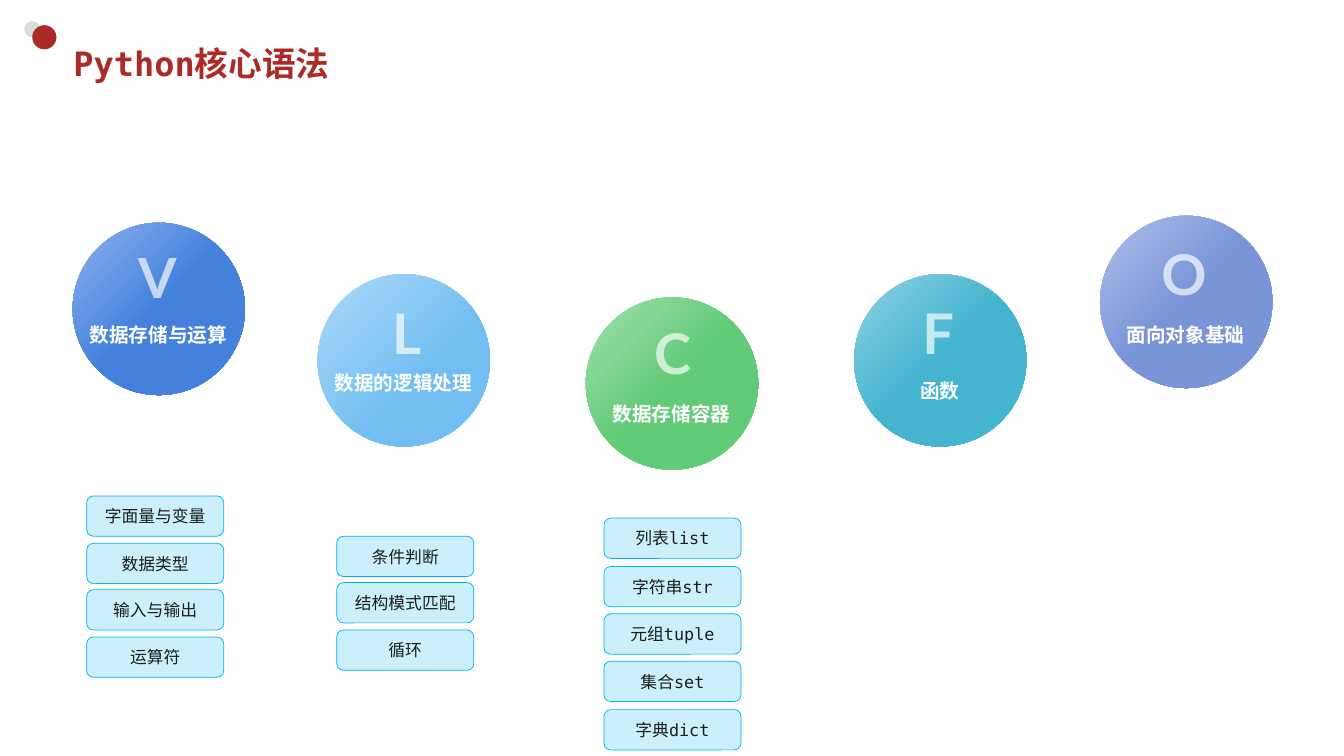
"""Build the overview slide of core Python syntax topics."""
from dataclasses import dataclass

from lxml import etree
from pptx import Presentation
from pptx.dml.color import RGBColor
from pptx.enum.shapes import MSO_SHAPE
from pptx.enum.text import MSO_ANCHOR, PP_ALIGN
from pptx.oxml.ns import qn
from pptx.shapes.autoshape import Shape
from pptx.util import Pt

OVAL = MSO_SHAPE.OVAL
ROUNDED = MSO_SHAPE.ROUNDED_RECTANGLE
TOP = MSO_ANCHOR.TOP
MIDDLE = MSO_ANCHOR.MIDDLE
LEFT = PP_ALIGN.LEFT
CENTER = PP_ALIGN.CENTER

PX = 9144
CIRCLE_SIZE = 171
LABEL_WIDTH, LABEL_HEIGHT = 160, 62
LETTER_WIDTH, LETTER_HEIGHT = 55, 77
ITEM_WIDTH, ITEM_HEIGHT = 136, 40

MONO, SANS, DISPLAY = "DejaVu Sans Mono", "Arial", "Lato"
WHITE = RGBColor(0xFF, 0xFF, 0xFF)
RED = RGBColor(0xAD, 0x2B, 0x26)
GREY = RGBColor(0xDA, 0xDD, 0xDC)
INK = RGBColor(0x1B, 0x1E, 0x1D)
CYAN = RGBColor(0x00, 0xB0, 0xF0)
BLUE, BLUE_LIGHT = RGBColor(0x43, 0x81, 0xDD), RGBColor(0x8E, 0xB3, 0xEB)
SKY, SKY_LIGHT = RGBColor(0x72, 0xBE, 0xF2), RGBColor(0xAE, 0xDA, 0xF8)
GREEN, GREEN_LIGHT = RGBColor(0x62, 0xCB, 0x78), RGBColor(0xA1, 0xE0, 0xAE)
TEAL, TEAL_LIGHT = RGBColor(0x44, 0xB4, 0xCF), RGBColor(0x8F, 0xD2, 0xE2)
VIOLET, VIOLET_LIGHT = RGBColor(0x79, 0x95, 0xD8), RGBColor(0xAF, 0xBF, 0xE8)


@dataclass(frozen=True)
class Dot:
    """A plain corner circle."""
    left: int
    top: int
    size: int
    color: RGBColor


@dataclass(frozen=True)
class Topic:
    """A gradient circle with its letter and label."""
    letter: str
    label: str
    left: int
    top: int
    letter_left: int
    letter_top: int
    label_top: int
    light: RGBColor
    color: RGBColor
    color_stop: float = 0.5


@dataclass(frozen=True)
class ItemColumn:
    """A column of evenly spaced items between two tops."""
    left: int
    first_top: int
    last_top: int
    items: tuple[str, ...]


DOTS = (Dot(24, 21, 16, GREY), Dot(32, 25, 24, RED))
TOPICS = (
    Topic("V", "数据存储与运算", 72, 221, 127, 236, 301, BLUE_LIGHT, BLUE),
    Topic("L", "数据的逻辑处理", 315, 272, 379, 291, 349, SKY_LIGHT, SKY, 0.6),
    Topic("C", "数据存储容器", 581, 295, 639, 311, 379, GREEN_LIGHT, GREEN),
    Topic("F", "函数", 847, 272, 905, 291, 357, TEAL_LIGHT, TEAL),
    Topic("O", "面向对象基础", 1091, 214, 1142, 233, 301, VIOLET_LIGHT, VIOLET),
)
COLUMNS = (
    ItemColumn(86, 492, 632, ("字面量与变量", "数据类型", "输入与输出", "运算符")),
    ItemColumn(334, 532, 625, ("条件判断", "结构模式匹配", "循环")),
    ItemColumn(599, 514, 704, ("列表list", "字符串str", "元组tuple", "集合set", "字典dict")),
)


def set_alpha(fill_element, percents: tuple[int, ...]) -> None:
    """Give each colour in a fill its opacity."""
    for color, percent in zip(fill_element.iter(qn("a:srgbClr")), percents):
        etree.SubElement(color, qn("a:alpha"), val=str(percent * 1000))


def set_gradient(fill, angle: int, stops: tuple[tuple[float, RGBColor], ...]) -> None:
    """Apply a two-stop linear gradient."""
    fill.gradient()
    fill.gradient_angle = angle
    for stop, (position, color) in zip(fill.gradient_stops, stops):
        stop.position = position
        stop.color.rgb = color


def add_shape(shapes, kind: MSO_SHAPE, left: int, top: int, width: int, height: int) -> Shape:
    """Add a preset shape without outline or shadow."""
    shape = shapes.add_shape(kind, left * PX, top * PX, width * PX, height * PX)
    shape.shadow.inherit = False
    shape.line.fill.background()
    return shape


def write(box: Shape, text: str, font: str, size: int, color: RGBColor,
          bold: bool = False, align: PP_ALIGN = CENTER, anchor: MSO_ANCHOR = MIDDLE):
    """Fill a box with one styled paragraph and return it."""
    frame = box.text_frame
    frame.word_wrap = True
    frame.vertical_anchor = anchor
    para = frame.paragraphs[0]
    para.text = text
    para.alignment = align
    para.font.name = font
    para.font.size = Pt(size)
    para.font.bold = bold
    para.font.color.rgb = color
    return para


def add_textbox(shapes, left: int, top: int, width: int, height: int) -> Shape:
    """Add an empty text box."""
    return shapes.add_textbox(left * PX, top * PX, width * PX, height * PX)


def draw_dot(page, dot: Dot) -> None:
    """Draw one corner circle."""
    shape = add_shape(page.shapes, OVAL, dot.left, dot.top, dot.size, dot.size)
    shape.fill.solid()
    shape.fill.fore_color.rgb = dot.color


def draw_topic(page, topic: Topic) -> None:
    """Draw a topic as one group."""
    shapes = page.shapes.add_group_shape().shapes
    circle = add_shape(shapes, OVAL, topic.left, topic.top, CIRCLE_SIZE, CIRCLE_SIZE)
    set_gradient(circle.fill, 315, ((0, topic.light), (topic.color_stop, topic.color)))
    label_left = topic.left + (CIRCLE_SIZE - LABEL_WIDTH) // 2
    label = add_textbox(shapes, label_left, topic.label_top, LABEL_WIDTH, LABEL_HEIGHT)
    write(label, topic.label, SANS, 14, WHITE, bold=True)
    letter = add_textbox(shapes, topic.letter_left, topic.letter_top, LETTER_WIDTH, LETTER_HEIGHT)
    para = write(letter, topic.letter, DISPLAY, 40, WHITE, True, LEFT, TOP)
    set_gradient(para.font.fill, 270, ((0.23, WHITE), (1, WHITE)))
    set_alpha(letter.text_frame._txBody, (67, 0))


def draw_column(page, column: ItemColumn) -> None:
    """Draw the items of one column."""
    pitch = (column.last_top - column.first_top) / (len(column.items) - 1)
    for index, item in enumerate(column.items):
        top = round(column.first_top + index * pitch)
        box = add_shape(page.shapes, ROUNDED, column.left, top, ITEM_WIDTH, ITEM_HEIGHT)
        box.fill.solid()
        box.fill.fore_color.rgb = CYAN
        set_alpha(box._element.spPr, (20,))
        box.line.color.rgb = CYAN
        box.line.width = Pt(0.5)
        write(box, item, MONO, 12, INK)


def main() -> None:
    """Build and save the deck."""
    deck = Presentation()
    deck.slide_width, deck.slide_height = 1333 * PX, 750 * PX
    page = deck.slides.add_slide(deck.slide_layouts[6])
    for dot in DOTS:
        draw_dot(page, dot)
    title = add_textbox(page.shapes, 63, 37, 1175, 52)
    write(title, "Python核心语法", MONO, 24, RED, bold=True, align=LEFT)
    for topic in TOPICS:
        draw_topic(page, topic)
    for column in COLUMNS:
        draw_column(page, column)
    deck.save("out.pptx")


if __name__ == "__main__":
    main()
